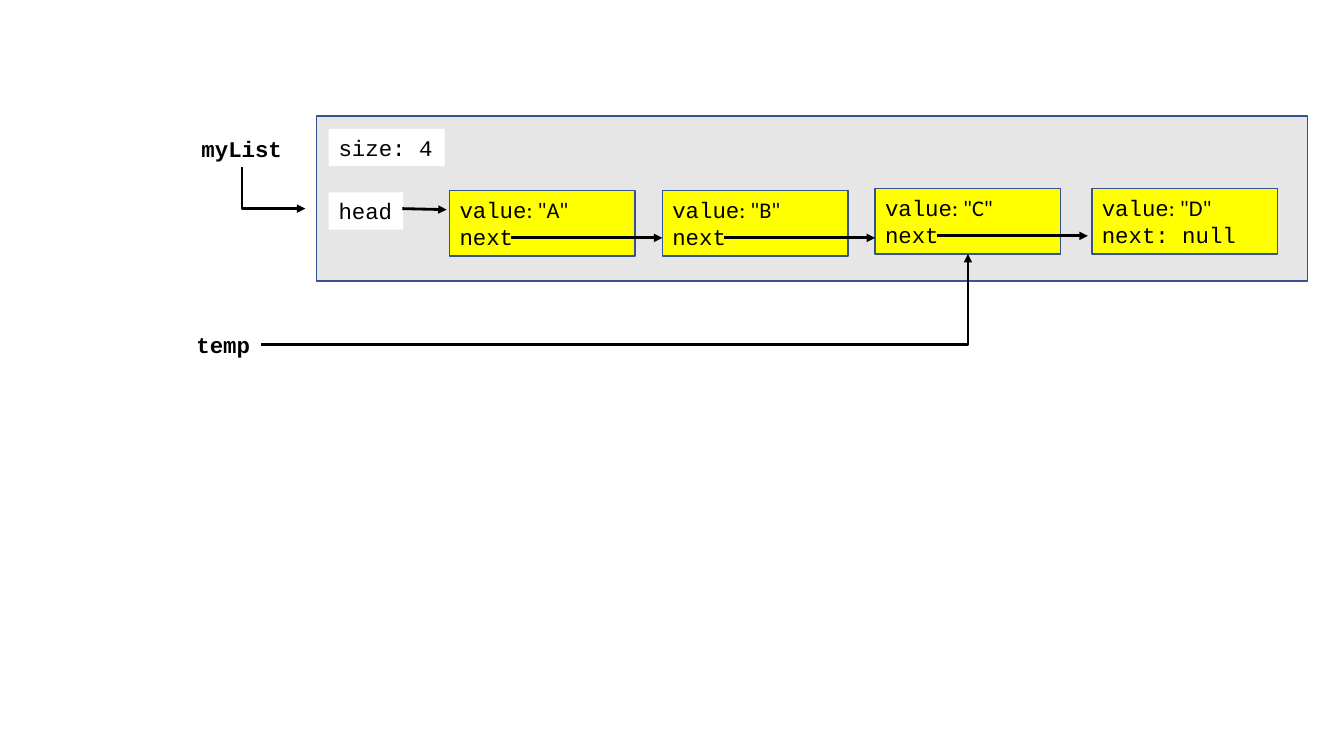
from dataclasses import dataclass

from lxml.etree import SubElement
from pptx import Presentation
from pptx.dml.color import RGBColor
from pptx.enum.shapes import MSO_CONNECTOR as Connector, MSO_SHAPE as Shape
from pptx.enum.text import MSO_ANCHOR as Anchor, PP_ALIGN as Align
from pptx.oxml.ns import qn
from pptx.util import Emu, Pt

PX = 9144  # 100 px to the inch
BLACK = RGBColor(0x00, 0x00, 0x00)
WHITE = RGBColor(0xFF, 0xFF, 0xFF)
GRAY = RGBColor(0xE7, 0xE6, 0xE6)
YELLOW = RGBColor(0xFF, 0xFF, 0x00)
BLUE = RGBColor(0x32, 0x54, 0x91)
MONO, SANS = "Courier New", "Calibri"
NODE_WIDTH, NODE_HEIGHT = 184, 65


@dataclass(frozen=True)
class Label:
    text: str
    left: int
    top: int
    width: int
    fill: RGBColor | None = WHITE
    bold: bool = False


@dataclass(frozen=True)
class Node:
    value: str
    left: int
    top: int
    next_text: str = "next"


LABELS = [
    Label("myList", 190, 129, 101, fill=None, bold=True),
    Label("size: 4", 326, 128, 115),
    Label("head", 326, 191, 74),
    Label("temp", 185, 324, 74, bold=True),
]
NODES = [
    Node("A", 446, 189),
    Node("B", 657, 189),
    Node("C", 868, 187),
    Node("D", 1083, 187, next_text="next: null"),
]


def px(length: float) -> Emu:
    return Emu(round(length * PX))


def add_box(slide, left: int, top: int, width: int, height: int,
            fill: RGBColor | None, line: RGBColor | None = None):
    shape = slide.shapes.add_shape(
        Shape.RECTANGLE, px(left), px(top), px(width), px(height))
    shape.shadow.inherit = False
    if fill is None:
        shape.fill.background()
    else:
        shape.fill.solid()
        shape.fill.fore_color.rgb = fill
    if line is None:
        shape.line.fill.background()
    else:
        shape.line.color.rgb = line
        shape.line.width = Pt(1)
    return shape


def add_text(paragraph, text: str, *, font: str = MONO, size: int = 16,
             bold: bool = False, color: RGBColor = BLACK) -> None:
    paragraph.alignment = Align.LEFT
    run = paragraph.add_run()
    run.text = text
    run.font.name = font
    run.font.size = Pt(size)
    run.font.bold = bold
    run.font.color.rgb = color


def add_label(slide, label: Label) -> None:
    shape = add_box(slide, label.left, label.top, label.width, 37, label.fill)
    frame = shape.text_frame
    frame.word_wrap = False
    frame.vertical_anchor = Anchor.TOP
    add_text(frame.paragraphs[0], label.text, bold=label.bold)


def add_node(slide, node: Node) -> None:
    shape = add_box(slide, node.left, node.top, NODE_WIDTH, NODE_HEIGHT, YELLOW, BLUE)
    frame = shape.text_frame
    frame.word_wrap = True
    frame.vertical_anchor = Anchor.MIDDLE
    add_text(frame.paragraphs[0], "value")
    add_text(frame.paragraphs[0], f': "{node.value}"', font=SANS)
    add_text(frame.add_paragraph(), node.next_text)


def add_arrow(slide, x1: float, y1: float, x2: float, y2: float,
              kind: Connector = Connector.STRAIGHT):
    arrow = slide.shapes.add_connector(kind, px(x1), px(y1), px(x2), px(y2))
    arrow.line.color.rgb = BLACK
    arrow.line.width = Pt(2)
    SubElement(arrow.line._get_or_add_ln(), qn("a:tailEnd"), type="triangle")
    properties = arrow._element.spPr
    SubElement(properties, qn("a:effectLst"))
    if kind == Connector.ELBOW:
        properties.find(qn("a:prstGeom")).set("prst", "bentConnector2")
    return arrow


def add_down_right_arrow(slide, x1: int, y1: int, x2: int, y2: int) -> None:
    """Go down first, then right: a mirrored elbow turned by 270 degrees."""
    center_x, center_y = (x1 + x2) / 2, (y1 + y2) / 2
    half_width, half_height = (y2 - y1) / 2, (x2 - x1) / 2
    arrow = add_arrow(slide, center_x + half_width, center_y - half_height,
                      center_x - half_width, center_y + half_height, Connector.ELBOW)
    arrow._element.spPr.find(qn("a:xfrm")).set("rot", str(270 * 60000))


def main() -> None:
    presentation = Presentation()
    presentation.slide_width, presentation.slide_height = px(1333), px(750)
    slide = presentation.slides.add_slide(presentation.slide_layouts[6])

    # List object and labels
    add_box(slide, 314, 115, 983, 164, GRAY, BLUE)
    for label in LABELS:
        add_label(slide, label)

    # Nodes, each linked to the next one
    for node in NODES:
        add_node(slide, node)
    for node in NODES[:-1]:
        link_y = node.top + 47
        add_arrow(slide, node.left + 61, link_y, node.left + 211, link_y)

    # References to the list, its head and the third node
    add_down_right_arrow(slide, 240, 166, 303, 207)
    add_arrow(slide, 399, 207, 443, 208)
    add_arrow(slide, 259, 342, 960, 252, Connector.ELBOW)

    presentation.save("out.pptx")


if __name__ == "__main__":
    main()
